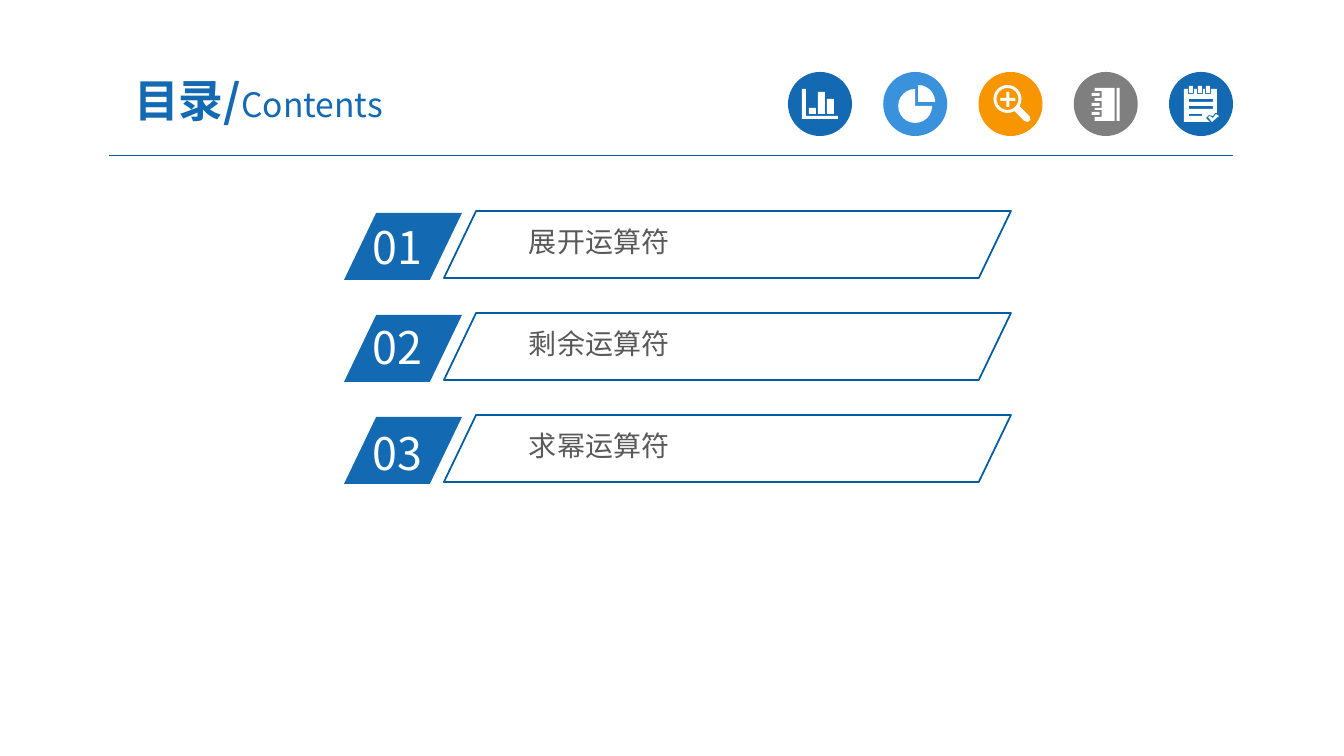
"""Build a contents slide with a title, five round icons and three numbered rows."""
from math import cos, radians, sin
from lxml.etree import SubElement
from pptx import Presentation
from pptx.dml.color import RGBColor
from pptx.enum.shapes import MSO_CONNECTOR as Link, MSO_SHAPE as Kind
from pptx.enum.text import MSO_ANCHOR as Anchor, PP_ALIGN as Align
from pptx.oxml.ns import qn
from pptx.util import Emu, Pt

FACE = "Noto Sans CJK SC"
BLUE, SKY, AMBER, GREY = "1369B2", "3992DB", "F79600", "7F7F7F"
WHITE, INK, RULE, EDGE = "FFFFFF", "595959", "005B9E", "005DA2"
SLANT = 0.48
TITLE = [("目录/", 32, True), ("Contents", 24, False)]
ROWS = [("01", 215, "展开运算符"), ("02", 315, "剩余运算符"), ("03", 421, "求幂运算符")]
TOP, STEP = 213, 102
DISC, DISC_X, DISC_Y, DISC_END = 64, 788, 72, 1169


def box(x, y, wide, high):
    return [(x, y), (x + wide, y), (x + wide, y + high), (x, y + high)]


def arc(x, y, size, start, end):
    turns = [radians(a) for a in range(start, end + 1, 15)]
    return [(x + size * cos(a), y + size * sin(a)) for a in turns]


CHART = [
    [(14, 17), (18, 17), (18, 44), (50, 44), (50, 47), (14, 47)],
    box(21, 36, 7, 6), box(30, 20, 7, 22), box(39, 27, 7, 15),
]
SHARE = [
    [(32, 34)] + arc(32, 34, 17, 0, 270),
    [(35, 30)] + arc(35, 30, 17, 270, 360),
]
LENS = [
    arc(29, 27, 14, 0, 345), arc(29, 27, 11, 0, 345),
    box(22, 26, 15, 3), box(28, 20, 3, 6), box(28, 29, 3, 6),
    [(36, 39), (39, 37), (41, 34), (51, 44), (52, 48), (49, 50), (46, 49)],
]
BOOK = [
    [(41, 49), (41, 16), (21, 16), (21, 19), (28, 19), (28, 26), (21, 26), (21, 29),
     (28, 29), (28, 36), (21, 36), (21, 38), (28, 38), (28, 45), (21, 45), (21, 49)],
    box(43, 16, 3, 33),
    *[box(18, y, 8, 3) for y in (21, 31, 40)],
]
PAD = [
    [(15, 17), (19, 17), (19, 22), (25, 22), (25, 17), (28, 17), (28, 22),
     (34, 22), (34, 17), (36, 17), (36, 22), (42, 22), (42, 17), (48, 17),
     (48, 41), (46, 41), (44, 44), (40, 43), (37, 46), (41, 50), (15, 50)],
    *[box(x, 14, 4, 7) for x in (20, 29, 37)],
    box(20, 27, 24, 3), box(20, 34, 24, 3), box(20, 42, 13, 2),
    [(39, 45), (41, 44), (44, 46), (47, 42), (50, 44), (43, 50)],
]
ICONS = [(BLUE, CHART), (SKY, SHARE), (AMBER, LENS), (GREY, BOOK), (BLUE, PAD)]


def px(n):
    return Emu(round(n * 914400 / 100.8))


def tint(code):
    return RGBColor.from_string(code)


def paint(shape, fill=None, line=None):
    shape.shadow.inherit = False
    if fill:
        shape.fill.solid()
        shape.fill.fore_color.rgb = tint(fill)
    else:
        shape.fill.background()
    if line:
        shape.line.color.rgb = tint(line)
        shape.line.width = Pt(1.25)
    else:
        shape.line.fill.background()


def draw(kind, area, fill=None, line=None):
    shape = deck.add_shape(kind, *map(px, area))
    if kind == Kind.PARALLELOGRAM:
        shape.adjustments[0] = SLANT
    paint(shape, fill, line)


def trace(left, top, rings):
    rings = [[(px(left + x), px(top + y)) for x, y in ring] for ring in rings]
    pen = deck.build_freeform(*rings[0][0])
    for ring in rings:
        pen.move_to(*ring[0])
        pen.add_line_segments(ring[1:])
    paint(pen.convert_to_shape(), WHITE)


def style(font, size, code, bold=False):
    font.size, font.bold, font.name = Pt(size), bold, FACE
    font.color.rgb = tint(code)
    SubElement(font._element, qn("a:ea")).set("typeface", FACE)


def write(area, inset):
    frame = deck.add_textbox(*map(px, area)).text_frame
    frame.word_wrap = True
    frame.margin_left = frame.margin_right = px(inset)
    frame.margin_top = frame.margin_bottom = px(inset / 2)
    return frame


def label(area, inset, text, size, code):
    para = write(area, inset).paragraphs[0]
    para.text = text
    style(para.font, size, code)


show = Presentation()
show.slide_width, show.slide_height = px(1344), px(756)
deck = show.slides.add_slide(show.slide_layouts[6]).shapes

rule = deck.add_connector(Link.STRAIGHT, px(109), px(156), px(1233), px(156))
rule.line.color.rgb = tint(RULE)
rule.line.width = Pt(0.75)
SubElement(rule._element.spPr, qn("a:effectLst"))

pitch = (DISC_END - DISC_X) / (len(ICONS) - 1)
for i, (code, rings) in enumerate(ICONS):
    left = DISC_X + i * pitch
    draw(Kind.OVAL, (left, DISC_Y, DISC, DISC), code)
    trace(left, DISC_Y, rings)

head = write((93, 64, 331, 72), 13)
head.vertical_anchor = Anchor.MIDDLE
para = head.paragraphs[0]
para.alignment = Align.CENTER
for text, size, bold in TITLE:
    run = para.add_run()
    run.text = text
    style(run.font, size, BLUE, bold)

for i, (num, num_y, text) in enumerate(ROWS):
    y = TOP + i * STEP
    draw(Kind.PARALLELOGRAM, (344, y, 118, 67), BLUE)
    label((363, num_y, 113, 64), 10, num, 32, WHITE)
    label((522, y + 8, 415, 43), 7, text, 20, INK)
    draw(Kind.PARALLELOGRAM, (444, y - 2, 567, 67), line=EDGE)

show.save("out.pptx")
